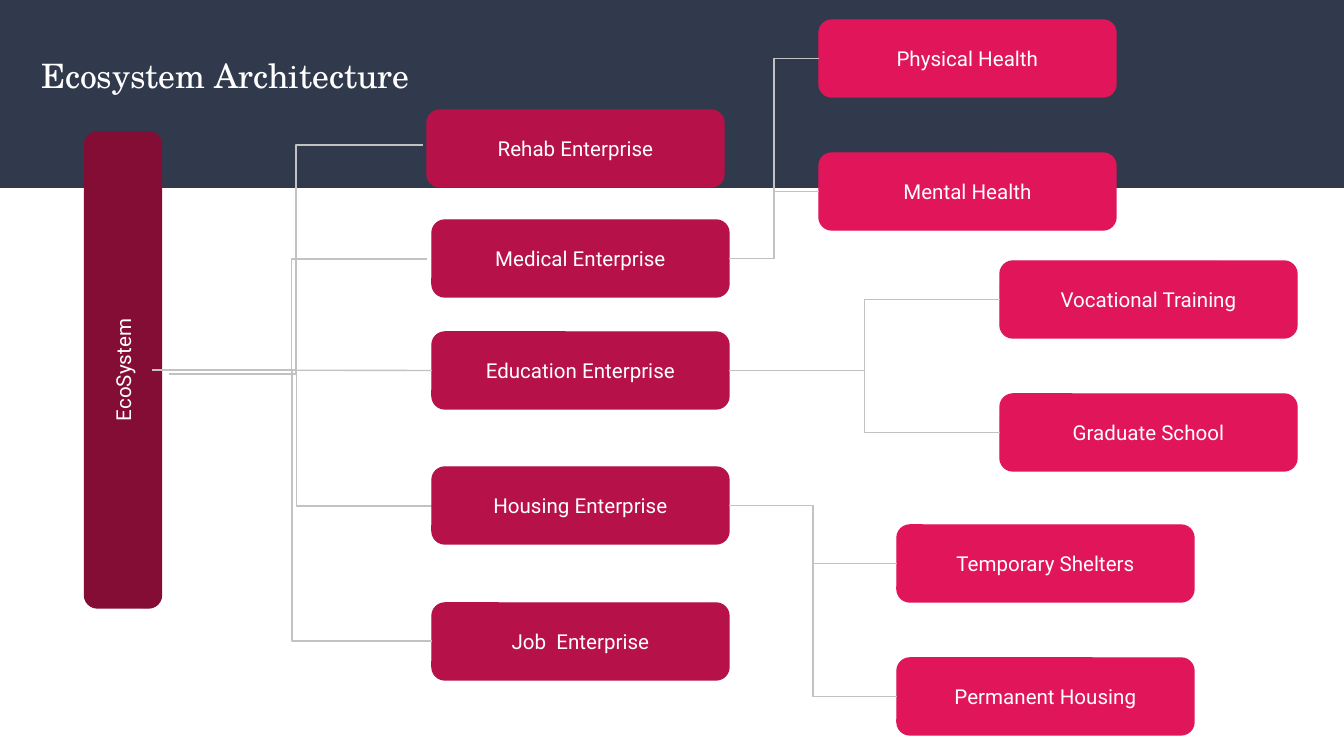
from pptx import Presentation
from pptx.dml.color import RGBColor
from pptx.enum.shapes import MSO_CONNECTOR as Link, MSO_SHAPE as Preset
from pptx.enum.text import MSO_ANCHOR as Anchor, PP_ALIGN as Align
from pptx.oxml.ns import qn
from pptx.util import Emu, Pt
from lxml.etree import SubElement

COLORS = {
    "band": "31394D", "root": "840D35", "enterprise": "B61249",
    "service": "E1165A", "line": "C2C2C2", "text": "FFFFFF",
}
TITLE = "Ecosystem Architecture"
ROOT = "EcoSystem"
ENTERPRISES = {
    "Rehab Enterprise": (427, 110),
    "Medical Enterprise": (432, 220),
    "Education Enterprise": (432, 332),
    "Housing Enterprise": (432, 467),
    "Job  Enterprise": (432, 603),
}
SERVICES = {
    "Medical Enterprise": (819, 20, ["Physical Health", "Mental Health"]),
    "Education Enterprise": (1000, 261, ["Vocational Training", "Graduate School"]),
    "Housing Enterprise": (897, 525, ["Temporary Shelters", "Permanent Housing"]),
}
BACK_BRANCHES = [((161, 370), (432, 506)), ((156, 370), (427, 259))]
FRONT_BRANCHES = [((152, 370), (432, 641)), ((169, 374), (423, 145))]
EDUCATION_START = (161, 370)

WIDTH, HEIGHT = 1344, 756
BOX_W, BOX_H = 297, 77
ROOT_LENGTH, ROOT_CENTER = 476, (123, 370)
SERVICE_STEP = 133
SCALE = 914400 / 134.4


def px(*lengths):
    return [Emu(round(length * SCALE)) for length in lengths]


def color(key):
    return RGBColor.from_string(COLORS[key])


def write(frame, words, size, font, align):
    paragraph = frame.paragraphs[0]
    paragraph.alignment = align
    run = paragraph.add_run()
    run.text = words
    run.font.size = Pt(size)
    run.font.name = font
    run.font.color.rgb = color("text")


def add_block(preset, x, y, w, h, key):
    block = slide.shapes.add_shape(preset, *px(x, y, w, h))
    block.shadow.inherit = False
    block.fill.solid()
    block.fill.fore_color.rgb = color(key)
    block.line.color.rgb = color(key)
    block.line.width = Pt(0.75)
    return block


def add_box(words, x, y, key, w=BOX_W):
    box = add_block(Preset.ROUNDED_RECTANGLE, x, y, w, BOX_H, key)
    box.text_frame.vertical_anchor = Anchor.MIDDLE
    write(box.text_frame, words, 11, "Roboto", Align.CENTER)
    return box


def add_link(start, end, kind=Link.ELBOW):
    link = slide.shapes.add_connector(kind, *px(*start, *end))
    link.line.color.rgb = color("line")
    link.line.width = Pt(0.75)
    SubElement(link._element.spPr, qn("a:effectLst"))
    return link


deck = Presentation()
deck.slide_width, deck.slide_height = px(WIDTH, HEIGHT)
slide = deck.slides.add_slide(deck.slide_layouts[5])

band = add_block(Preset.RECTANGLE, 0, 0, WIDTH, 188, "band")
band.line.fill.background()
slide.shapes._spTree.insert(2, band._element)

title = slide.shapes.title
title.left, title.top, title.width, title.height = px(28, 42, 616, 91)
heading = title.text_frame
heading.margin_left = heading.margin_right = px(13)[0]
heading.margin_top = heading.margin_bottom = px(13)[0]
heading.vertical_anchor = Anchor.TOP
write(heading, TITLE, 18, "TeX Gyre Schola", Align.LEFT)

for start, end in BACK_BRANCHES:
    add_link(start, end)

root_x, root_y = ROOT_CENTER
root = add_box(ROOT, root_x - ROOT_LENGTH / 2, root_y - BOX_H / 2, "root", ROOT_LENGTH)
root.rotation = 270

enterprises = {
    name: add_box(name, x, y, "enterprise") for name, (x, y) in ENTERPRISES.items()
}

for name, (x, top, services) in SERVICES.items():
    for row, service in enumerate(services):
        service_box = add_box(service, x, top + row * SERVICE_STEP, "service")
        service_link = add_link((0, 0), (x, top))
        service_link.begin_connect(enterprises[name], 3)
        service_link.end_connect(service_box, 1)

education_link = add_link(EDUCATION_START, (432, 370), Link.STRAIGHT)
education_link.end_connect(enterprises["Education Enterprise"], 1)

for start, end in FRONT_BRANCHES:
    add_link(start, end)

deck.save("out.pptx")
